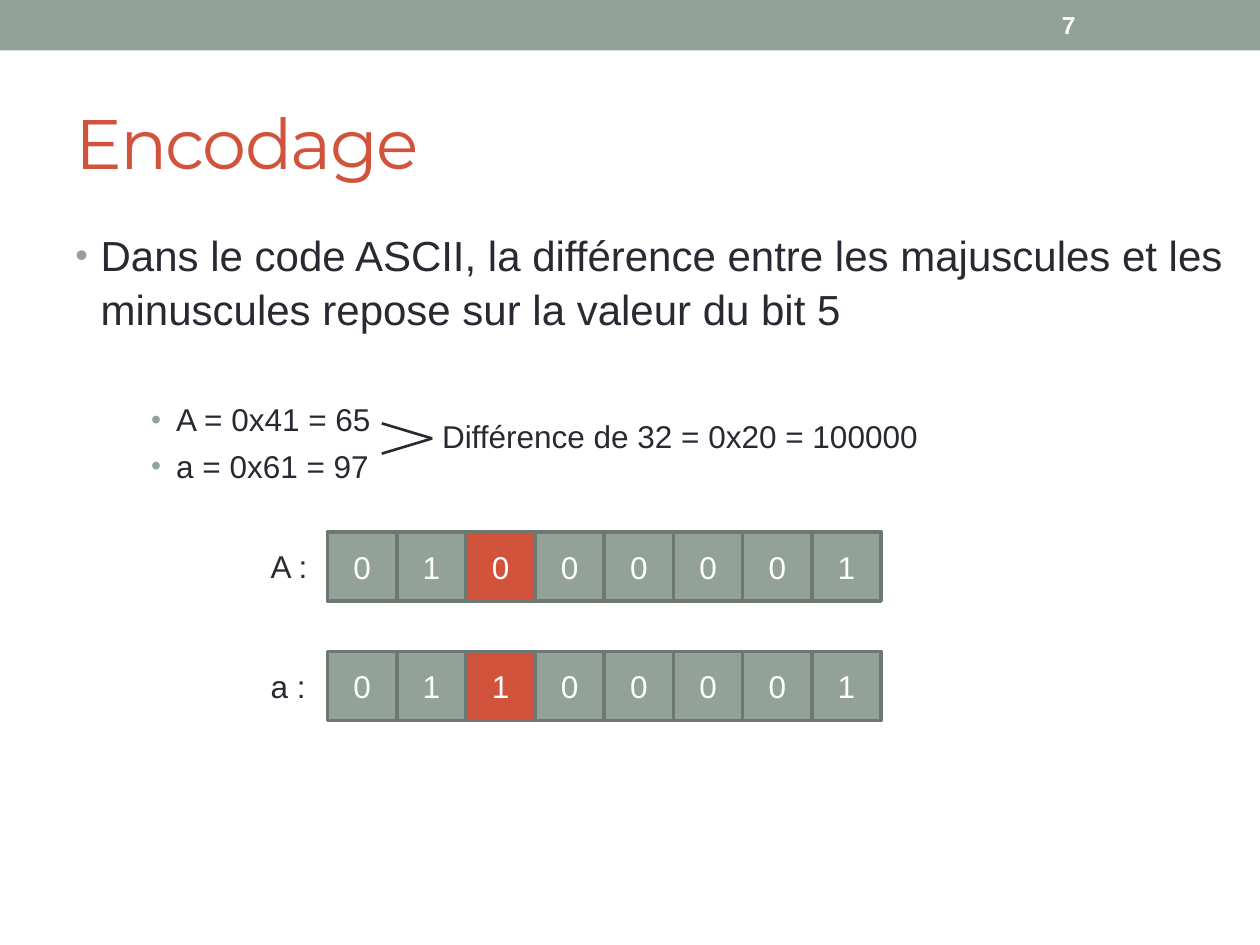
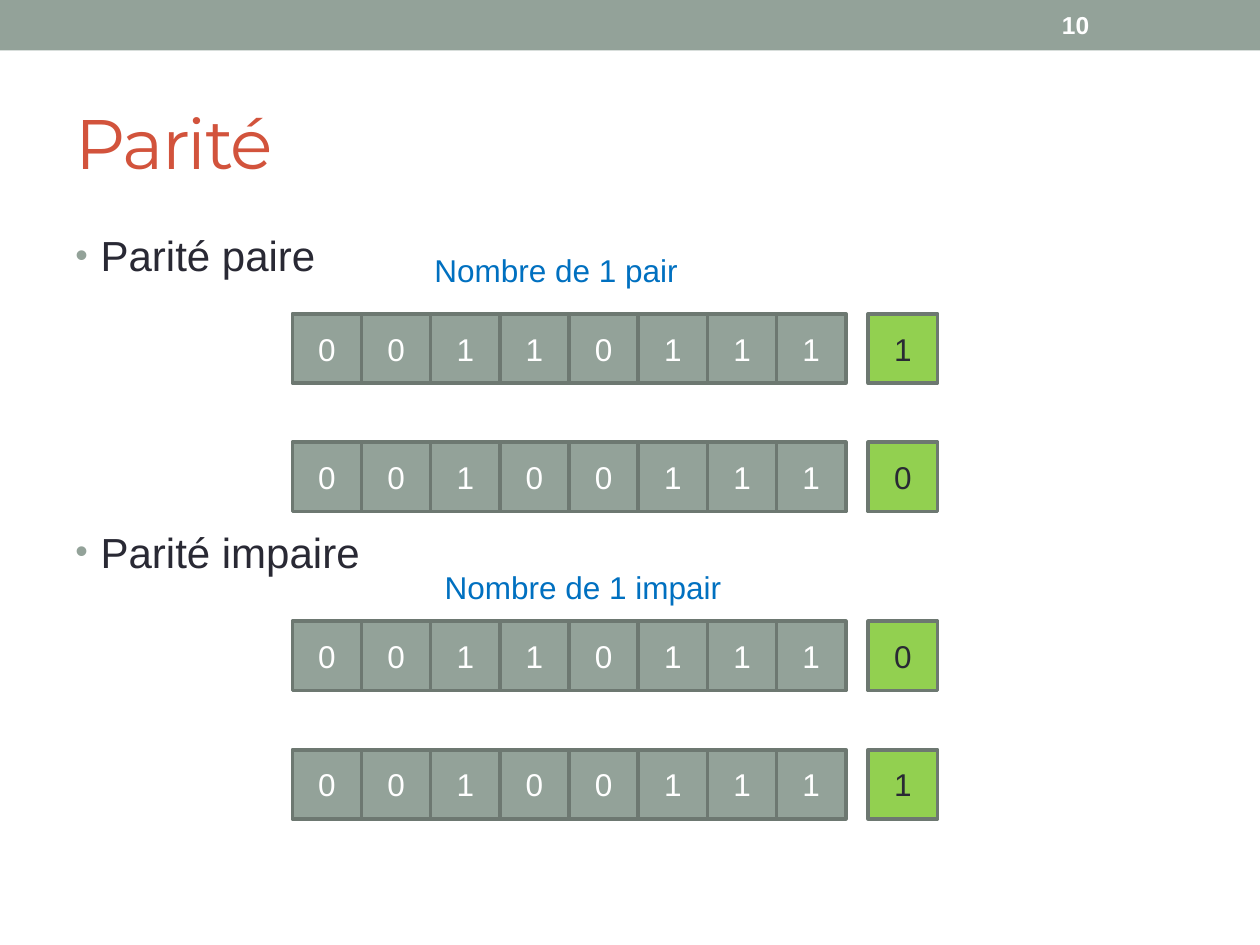
from lxml.etree import SubElement
from pptx import Presentation
from pptx.dml.color import RGBColor
from pptx.enum.shapes import MSO_CONNECTOR as Connector, MSO_SHAPE as Shape
from pptx.enum.text import MSO_ANCHOR as Anchor, PP_ALIGN as Align
from pptx.oxml.ns import qn
from pptx.util import Inches, Pt

SAGE = RGBColor(0x93, 0xA2, 0x99)
DARK_SAGE = RGBColor(0x6D, 0x78, 0x71)
BRICK = RGBColor(0xD2, 0x53, 0x3C)
INK = RGBColor(0x29, 0x29, 0x34)
WHITE = RGBColor(0xFF, 0xFF, 0xFF)
GREEN = RGBColor(0x92, 0xD0, 0x50)
BLUE = RGBColor(0x00, 0x70, 0xC0)

COLUMNS, ROWS = 100, 75
BIT_SIZE, BIT_STEP, PARITY_OFFSET = 5.5, 5.49, 45.7
BODY_FONT, TITLE_FONT = "Arial", "Montserrat"


class Deck:
    def __init__(self):
        self.presentation = Presentation()
        self.presentation.slide_width = Inches(10)
        self.presentation.slide_height = Inches(7.5)
        self.slide = None

    def across(self, columns):
        return round(self.presentation.slide_width * columns / COLUMNS)

    def down(self, rows):
        return round(self.presentation.slide_height * rows / ROWS)

    def box(self, left, top, width, height):
        return self.across(left), self.down(top), self.across(width), self.down(height)

    def style(self, paragraph, size, color, font=BODY_FONT, bold=False):
        for run in paragraph.runs:
            run.font.name = font
            run.font.size = Pt(size)
            run.font.bold = bold
            run.font.color.rgb = color

    def new_slide(self, title, number):
        self.slide = self.presentation.slides.add_slide(self.presentation.slide_layouts[6])
        self.rectangle(self.slide.shapes, (0, 0, COLUMNS, 4), SAGE)
        heading = self.text(title, (5, 5.8, 90, 10.8), 40, BRICK, TITLE_FONT, anchor=Anchor.MIDDLE)
        heading.runs[0].font._element.set("spc", "-100")
        self.text(number, (83.3, 0.2, 11.7, 3.6), 14, WHITE, bold=True, anchor=Anchor.MIDDLE)

    def rectangle(self, shapes, place, fill, line=None):
        shape = shapes.add_shape(Shape.RECTANGLE, *self.box(*place))
        shape.shadow.inherit = False
        shape.fill.solid()
        shape.fill.fore_color.rgb = fill
        if line is None:
            shape.line.fill.background()
        else:
            shape.line.color.rgb = line
            shape.line.width = Pt(2.08)
        return shape

    def text_frame(self, place, anchor=Anchor.TOP):
        text_frame = self.slide.shapes.add_textbox(*self.box(*place)).text_frame
        text_frame.word_wrap = True
        text_frame.vertical_anchor = anchor
        return text_frame

    def text(self, text, place, size=18, color=INK, font=BODY_FONT, bold=False, anchor=Anchor.TOP):
        paragraph = self.text_frame(place, anchor).paragraphs[0]
        paragraph.text = text
        self.style(paragraph, size, color, font, bold)
        return paragraph

    def bullets(self, items):
        text_frame = self.text_frame((5, 17.5, 93.8, 55.4))
        for index, (text, nested, space_before) in enumerate(items):
            paragraph = text_frame.add_paragraph() if index else text_frame.paragraphs[0]
            paragraph.text = text
            paragraph.line_spacing = 1.06
            paragraph.space_before = Pt(space_before)
            self.style(paragraph, 18 if nested else 24, INK)
            self.bullet(paragraph, nested)

    def bullet(self, paragraph, nested):
        properties = paragraph._p.get_or_add_pPr()
        properties.set("marL", str(self.across(8 if nested else 2)))
        properties.set("indent", str(self.across(-2)))
        if nested:
            properties.set("lvl", "2")
        color = SubElement(properties, qn("a:buClr"))
        SubElement(color, qn("a:srgbClr"), val=str(SAGE))
        SubElement(properties, qn("a:buSzPct"), val="90000" if nested else "85000")
        SubElement(properties, qn("a:buFont"), typeface=BODY_FONT)
        SubElement(properties, qn("a:buChar"), char="•")

    def line(self, start, end):
        connector = self.slide.shapes.add_connector(
            Connector.STRAIGHT, *self.box(*start, *end))
        connector.line.color.rgb = INK
        connector.line.width = Pt(1.5)
        SubElement(connector._element.spPr, qn("a:effectLst"))

    def bit(self, shapes, digit, left, top, fill, color):
        shape = self.rectangle(shapes, (left, top, BIT_SIZE, BIT_SIZE), fill, DARK_SAGE)
        shape.text_frame.text = digit
        shape.text_frame.vertical_anchor = Anchor.MIDDLE
        paragraph = shape.text_frame.paragraphs[0]
        paragraph.alignment = Align.CENTER
        self.style(paragraph, 18, color)

    def byte(self, digits, left, top, marked=None, parity=None):
        shapes = self.slide.shapes.add_group_shape().shapes
        for index, digit in enumerate(digits):
            fill = BRICK if index == marked else SAGE
            self.bit(shapes, digit, left + index * BIT_STEP, top, fill, WHITE)
        if parity is not None:
            self.bit(shapes, parity, left + PARITY_OFFSET, top, GREEN, INK)


def encoding_slide(deck):
    deck.new_slide("Encodage", "7")
    deck.bullets([
        ("Dans le code ASCII, la différence entre les majuscules et les minuscules "
         "repose sur la valeur du bit 5", False, 0),
        ("A = 0x41 = 65", True, 37),
        ("a = 0x61 = 97", True, 3.5),
    ])
    for start_row in (33.6, 36):
        deck.line((30.3, start_row), (34.3, 34.8))
    deck.text("Différence de 32 = 0x20 = 100000", (34.1, 32.6, 46.5, 4))
    for label, digits, top in (("A :", "01000001", 42.2), ("a :", "01100001", 51.7)):
        deck.byte(digits, 26, top, marked=2)
        deck.text(label, (20.5, top + 0.75, 5.5, 4))


def parity_slide(deck):
    deck.new_slide("Parité", "10")
    deck.bullets([("Parité paire", False, 0), ("Parité impaire", False, 139)])
    for top, parities in ((24.9, "10"), (49.3, "01")):
        for index, (digits, parity) in enumerate(zip(("00110111", "00100111"), parities)):
            deck.byte(digits, 23.2, top + index * 10.2, parity=parity)
    deck.text("Nombre de 1 pair", (33.5, 19.4, 21.7, 4), color=BLUE)
    deck.text("Nombre de 1 impair", (34.3, 44.6, 29.1, 4), color=BLUE)


def main():
    deck = Deck()
    encoding_slide(deck)
    parity_slide(deck)
    deck.presentation.save("out.pptx")


if __name__ == "__main__":
    main()
